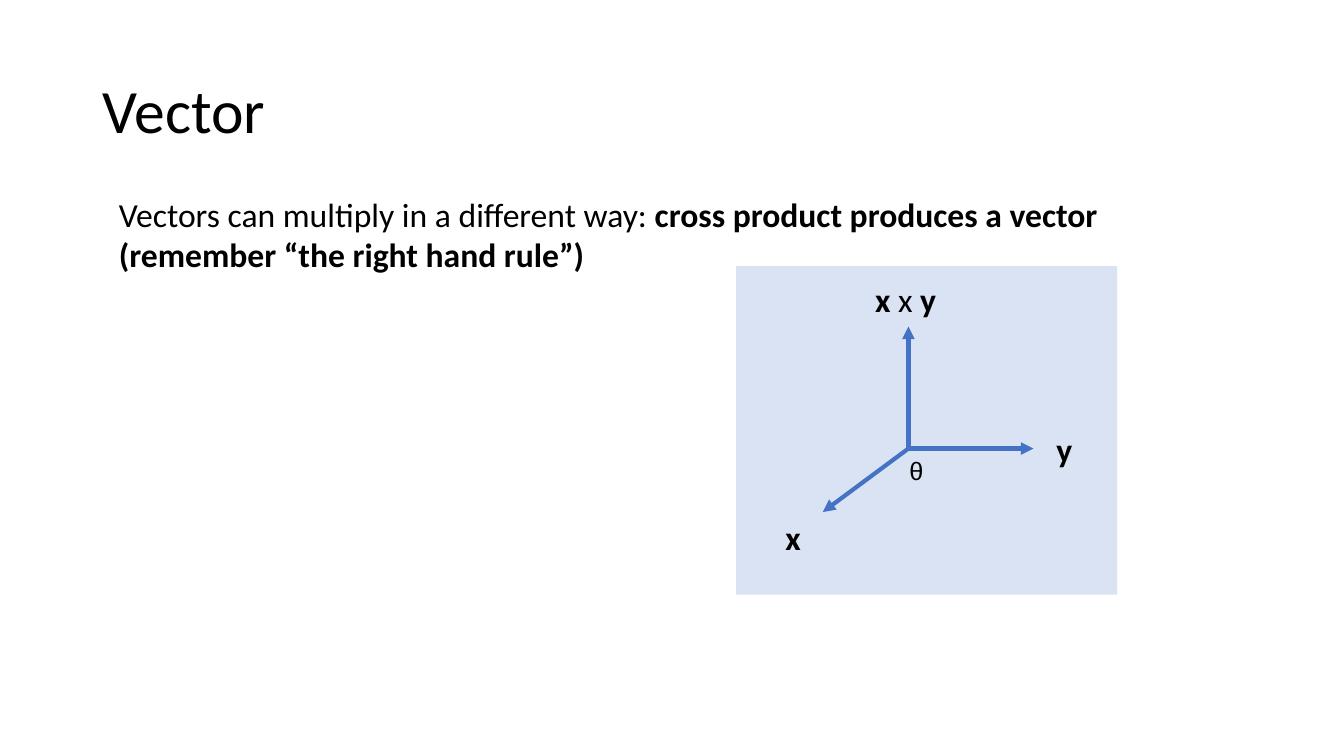
from lxml import etree
from pptx import Presentation
from pptx.dml.color import RGBColor
from pptx.enum import shapes, text
from pptx.oxml.ns import qn
from pptx.util import Inches, Pt

BLACK = RGBColor(0x00, 0x00, 0x00)
BLUE = RGBColor(0x44, 0x72, 0xC4)
PALE_BLUE = RGBColor(0xDA, 0xE3, 0xF3)

ORIGIN = (9.01, 4.45)
AXIS_TIPS = [(8.16, 5.08), (10.25, 4.45), (9.01, 3.24)]


def add_panel(s, left, top, width, height):
    sp = s.shapes.add_shape(shapes.MSO_SHAPE.RECTANGLE, Inches(left), Inches(top),
                            Inches(width), Inches(height))
    sp.shadow.inherit = False
    sp.fill.solid()
    sp.fill.fore_color.rgb = PALE_BLUE
    sp.line.fill.background()


def add_text(s, box, paragraphs, size=24, name="Calibri",
             anchor=text.MSO_ANCHOR.TOP, spacing=None):
    """Each paragraph is a list of (wording, bold) runs."""
    sp = s.shapes.add_textbox(*(Inches(v) for v in box))
    tf = sp.text_frame
    tf.word_wrap = True
    tf.vertical_anchor = anchor
    for i, runs in enumerate(paragraphs):
        p = tf.add_paragraph() if i else tf.paragraphs[0]
        p.line_spacing = spacing
        for wording, bold in runs:
            r = p.add_run()
            r.text = wording
            for key, value in {"size": Pt(size), "name": name, "bold": bold}.items():
                setattr(r.font, key, value)
            r.font.color.rgb = BLACK


def add_arrow(s, start, end):
    cx = s.shapes.add_connector(shapes.MSO_CONNECTOR.STRAIGHT,
                                *(Inches(v) for v in start + end))
    cx.line.color.rgb = BLUE
    cx.line.width = Pt(3)
    etree.SubElement(cx.line._get_or_add_ln(), qn("a:tailEnd"), type="triangle")
    etree.SubElement(cx._element.spPr, qn("a:effectLst"))


def main():
    prs = Presentation()
    prs.slide_width, prs.slide_height = Inches(13.33), Inches(7.5)
    s = prs.slides.add_slide(prs.slide_layouts[6])

    add_panel(s, 7.3, 2.64, 3.78, 3.26)
    add_text(s, (0.92, 0.4, 11.5, 1.45), [[("Vector", False)]], size=44,
             anchor=text.MSO_ANCHOR.MIDDLE, spacing=0.9)
    add_text(s, (1.08, 1.87, 11.19, 0.91), [
        [("Vectors can multiply in a different way: ", False),
         ("cross product produces a vector", True)],
        [("(remember “the right hand rule”)", True)],
    ])

    for tip in AXIS_TIPS:
        add_arrow(s, ORIGIN, tip)
    add_text(s, (7.69, 5.08, 0.47, 0.5), [[("x", True)]])
    add_text(s, (10.38, 4.21, 0.47, 0.5), [[("y", True)]])
    add_text(s, (8.58, 2.72, 1.02, 0.5), [[("x ", True), ("x", False), (" y", True)]])
    add_text(s, (8.92, 4.47, 0.64, 0.4), [[("θ", False)]], size=18, name="Arial")

    prs.save("out.pptx")


if __name__ == "__main__":
    main()
